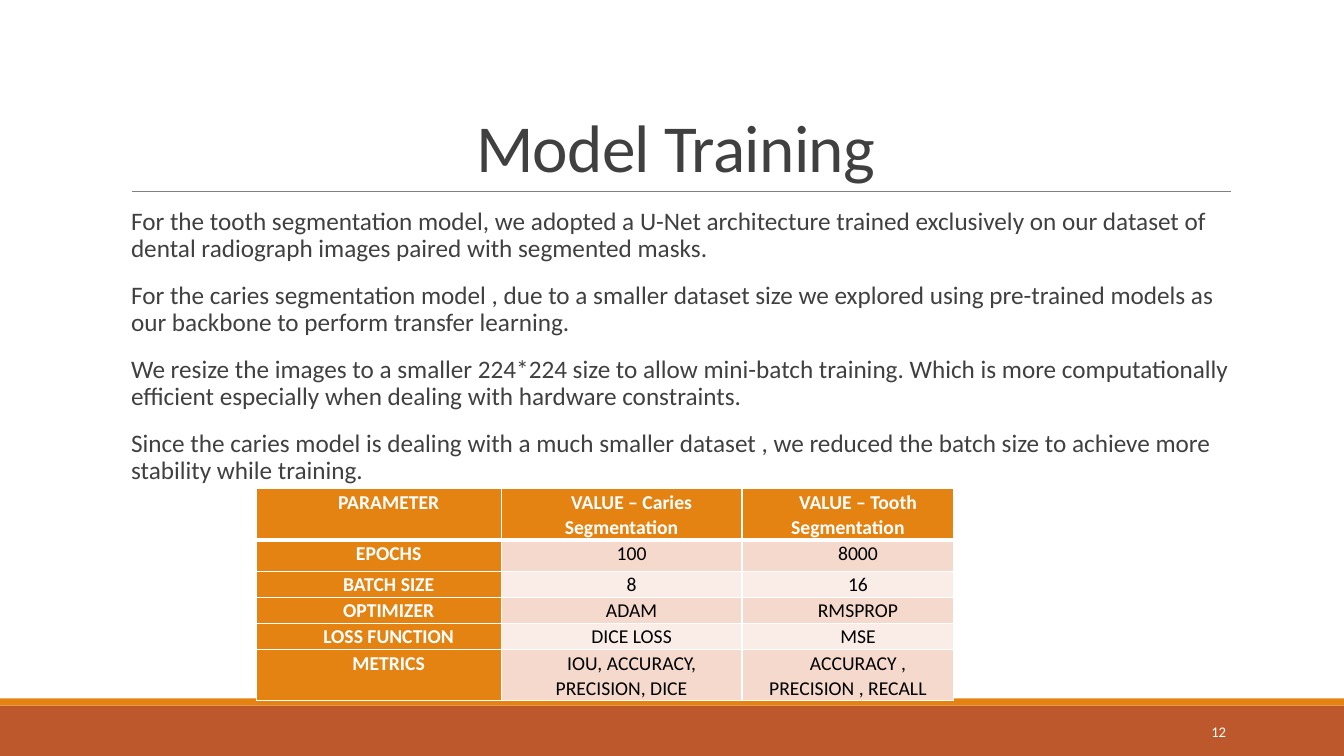
from lxml import etree
from pptx import Presentation
from pptx import util as u
from pptx.dml.color import RGBColor
from pptx.enum import shapes, text
from pptx.oxml.ns import qn

ORANGE, RUST, GREY, WHITE, BLACK = "E48312", "BD582C", "404040", "FFFFFF", "000000"
BANDS = ("F5D9CC", "FAEDE7")
ALIGN = text.PP_ALIGN
POINTS = [
    "For the tooth segmentation model, we adopted a U-Net architecture trained exclusively on our dataset of "
    "dental radiograph images paired with segmented masks.",
    "For the caries segmentation model , due to a smaller dataset size we explored using pre-trained models as "
    "our backbone to perform transfer learning.",
    "We resize the images to a smaller 224*224 size to allow mini-batch training. Which is more computationally "
    "efficient especially when dealing with hardware constraints.",
    "Since the caries model is dealing with a much smaller dataset , we reduced the batch size to achieve more "
    "stability while training.",
]
PARAMETERS = [
    ("PARAMETER", "VALUE – Caries Segmentation", "VALUE – Tooth Segmentation"),
    ("EPOCHS", "100", "8000"),
    ("BATCH SIZE", "8", "16"),
    ("OPTIMIZER", "ADAM", "RMSPROP"),
    ("LOSS FUNCTION", "DICE LOSS", "MSE"),
    ("METRICS", "IOU, ACCURACY, PRECISION, DICE", "ACCURACY , PRECISION , RECALL"),
]
COLUMN_WIDTHS = (2.43, 2.39, 2.1)
ROW_HEIGHTS = (0.46, 0.31, 0.26, 0.26, 0.26, 0.46)


def rgb(value):
    """Return the colour for a hex string."""
    return RGBColor.from_string(value)


def inches(*lengths):
    """Return the lengths as Inches."""
    return [u.Inches(n) for n in lengths]


def write(p, words, size=18, color=GREY, bold=False, align=ALIGN.LEFT,
          line=1.0, before=0, after=0, left=0, indent=0, spacing=0):
    """Write one formatted run into a paragraph."""
    p.alignment, p.line_spacing = align, line
    p.space_before, p.space_after = u.Pt(before), u.Pt(after)
    pPr = p._p.get_or_add_pPr()
    pPr.set("marL", str(u.Inches(left)))
    pPr.set("indent", str(u.Inches(indent)))
    r = p.add_run()
    r.text = words
    r.font.name, r.font.size, r.font.bold = "Calibri", u.Pt(size), bold
    r.font.color.rgb = rgb(color)
    if spacing:
        r._r.get_or_add_rPr().set("spc", str(int(spacing * 100)))


def set_frame(tf, anchor, side=0.1, edge=0.05):
    """Set wrapping, anchor and insets of a text frame."""
    tf.word_wrap, tf.auto_size = True, text.MSO_AUTO_SIZE.NONE
    tf.vertical_anchor = anchor
    tf.margin_left = tf.margin_right = u.Inches(side)
    tf.margin_top = tf.margin_bottom = u.Inches(edge)


def add_bar(s, box, color):
    """Add a plain filled rectangle."""
    sp = s.shapes.add_shape(shapes.MSO_SHAPE.RECTANGLE, *inches(*box))
    sp.shadow.inherit = False
    sp.fill.solid()
    sp.fill.fore_color.rgb = rgb(color)
    sp.line.fill.background()


def add_footer(s, left, top, width, height, number):
    """Add the footer bands and the slide number."""
    stripe = 0.07
    add_bar(s, (left, top + stripe, width, height - stripe), RUST)
    add_bar(s, (left, top, width, stripe), ORANGE)
    sp = s.shapes.add_textbox(*inches(left + width - 2.5, top + 0.13, 1.43, 0.4))
    set_frame(sp.text_frame, text.MSO_ANCHOR.MIDDLE)
    write(sp.text_frame.paragraphs[0], number, size=10.5, color=WHITE, align=ALIGN.RIGHT)


def add_title(s, left, top, width, height, words):
    """Place the title and the rule below it."""
    sp = s.shapes.title
    sp.left, sp.top, sp.width, sp.height = inches(left, top, width, height)
    set_frame(sp.text_frame, text.MSO_ANCHOR.BOTTOM)
    write(sp.text_frame.paragraphs[0], words, size=48, align=ALIGN.CENTER, line=0.85, spacing=-0.5)
    y = top + height
    rule = s.shapes.add_connector(shapes.MSO_CONNECTOR.STRAIGHT,
                                  *inches(left + 0.11, y, left + width + 0.01, y))
    rule.line.color.rgb, rule.line.width = rgb("808080"), u.Pt(0.5)
    etree.SubElement(rule._element.spPr, qn("a:effectLst"))


def add_body(s, left, top, width, height, points):
    """Add the body paragraphs."""
    tf = s.shapes.add_textbox(*inches(left, top, width, height)).text_frame
    set_frame(tf, text.MSO_ANCHOR.TOP, side=0)
    for i, point in enumerate(points):
        p = tf.add_paragraph() if i else tf.paragraphs[0]
        write(p, point, line=0.9, before=12, after=2, left=0.1)


def add_borders(cell, **widths):
    """Draw white cell borders with widths in points by side."""
    tcPr = cell._tc.get_or_add_tcPr()
    for side, width in widths.items():
        ln = etree.SubElement(tcPr, qn("a:ln" + side), w=str(u.Pt(width)))
        fill = etree.SubElement(ln, qn("a:solidFill"))
        etree.SubElement(fill, qn("a:srgbClr"), val=WHITE)


def add_parameters(s, left, top, rows):
    """Add the table of training parameters."""
    box = inches(left, top, sum(COLUMN_WIDTHS), sum(ROW_HEIGHTS))
    table = s.shapes.add_table(len(rows), len(COLUMN_WIDTHS), *box).table
    for column, width in zip(table.columns, COLUMN_WIDTHS):
        column.width = u.Inches(width)
    for i, values in enumerate(rows):
        table.rows[i].height = u.Inches(ROW_HEIGHTS[i])
        for j, value in enumerate(values):
            cell = table.cell(i, j)
            head = i == 0 or j == 0
            cell.margin_left = cell.margin_right = u.Inches(0.07)
            cell.margin_top = cell.margin_bottom = 0
            add_borders(cell, L=1, R=1, T=3 if i == 1 else 1, B=3 if i == 0 else 1)
            cell.fill.solid()
            cell.fill.fore_color.rgb = rgb(ORANGE if head else BANDS[(i - 1) % 2])
            write(cell.text_frame.paragraphs[0], value, size=14, bold=head,
                  color=WHITE if head else BLACK, align=ALIGN.CENTER,
                  line=1.07, after=0.2, indent=0.2)


def main():
    """Build the slide and save it."""
    prs = Presentation()
    prs.slide_width, prs.slide_height = inches(13.33, 7.5)
    s = prs.slides.add_slide(prs.slide_layouts[5])
    add_footer(s, 0, 6.93, 13.33, 0.57, "12")
    add_title(s, 1.2, 0.31, 11, 1.59, "Model Training")
    add_body(s, 1.2, 2.02, 11, 4.4, POINTS)
    add_parameters(s, 2.54, 4.85, PARAMETERS)
    prs.save("out.pptx")


if __name__ == "__main__":
    main()
